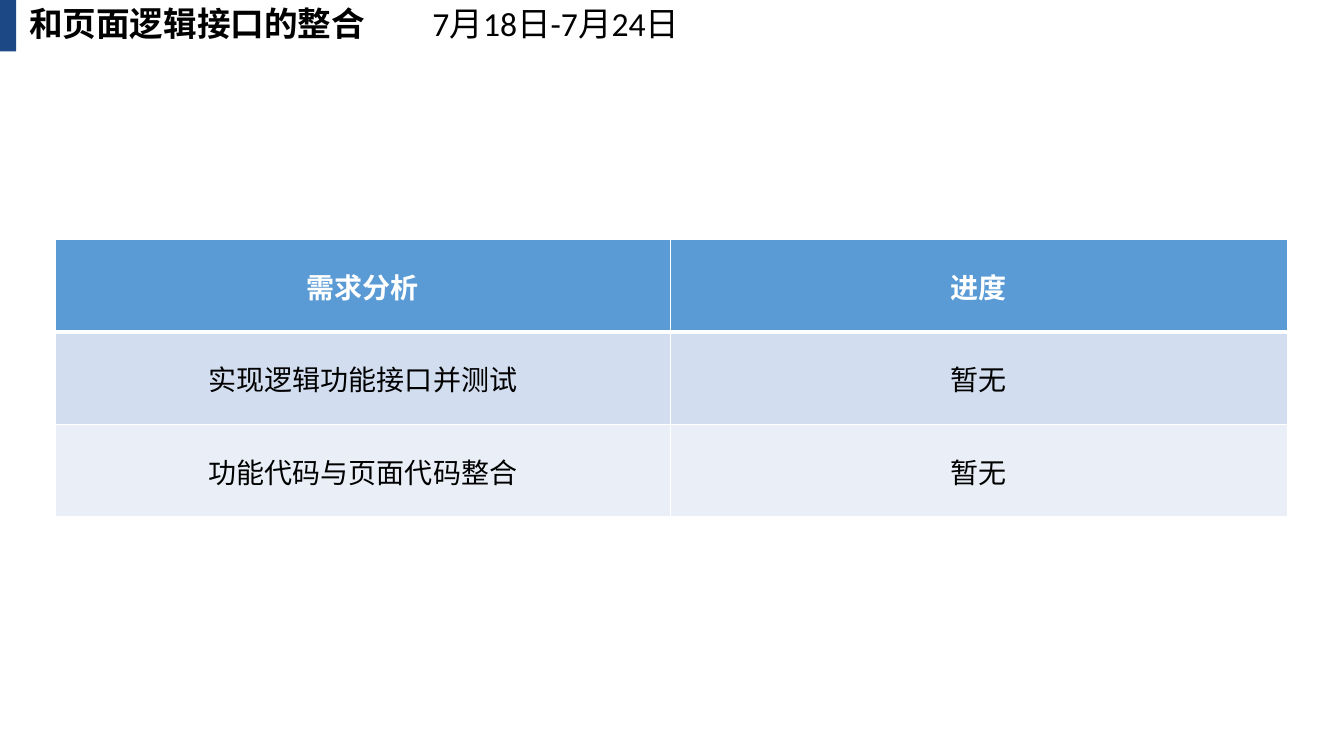
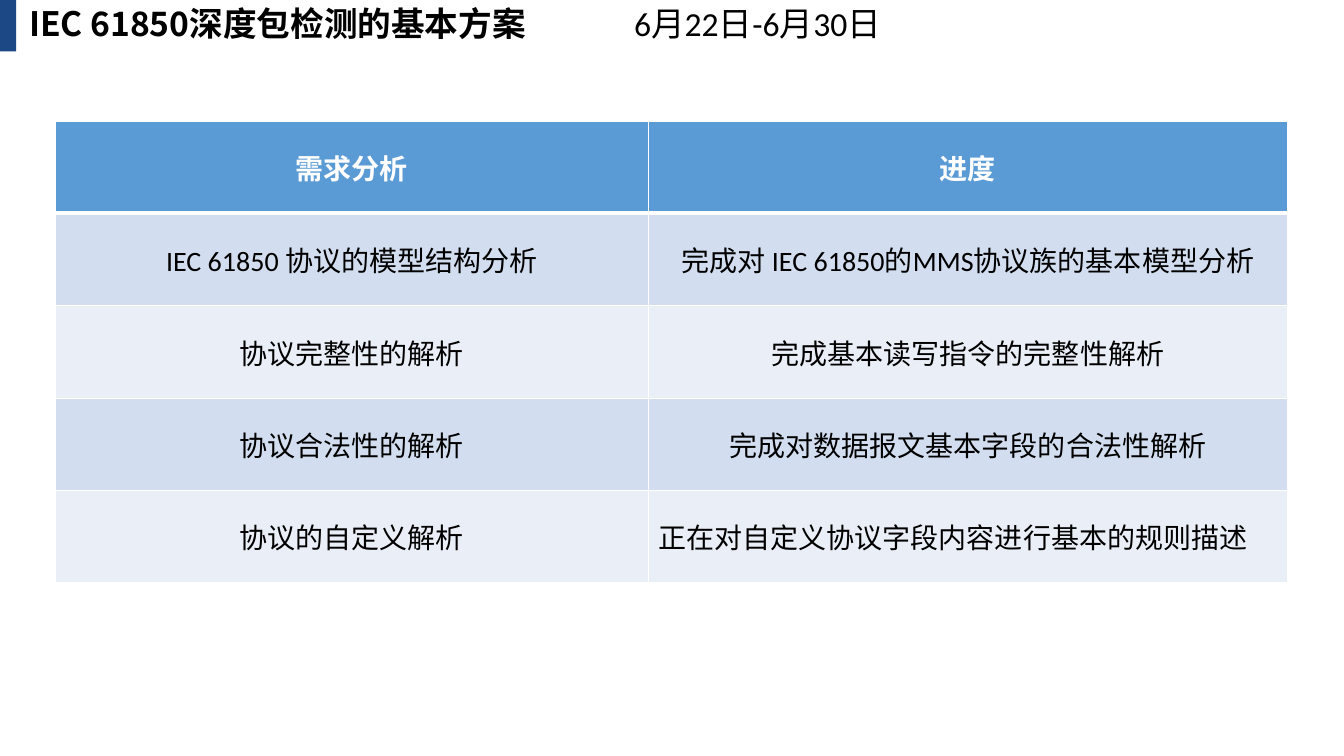
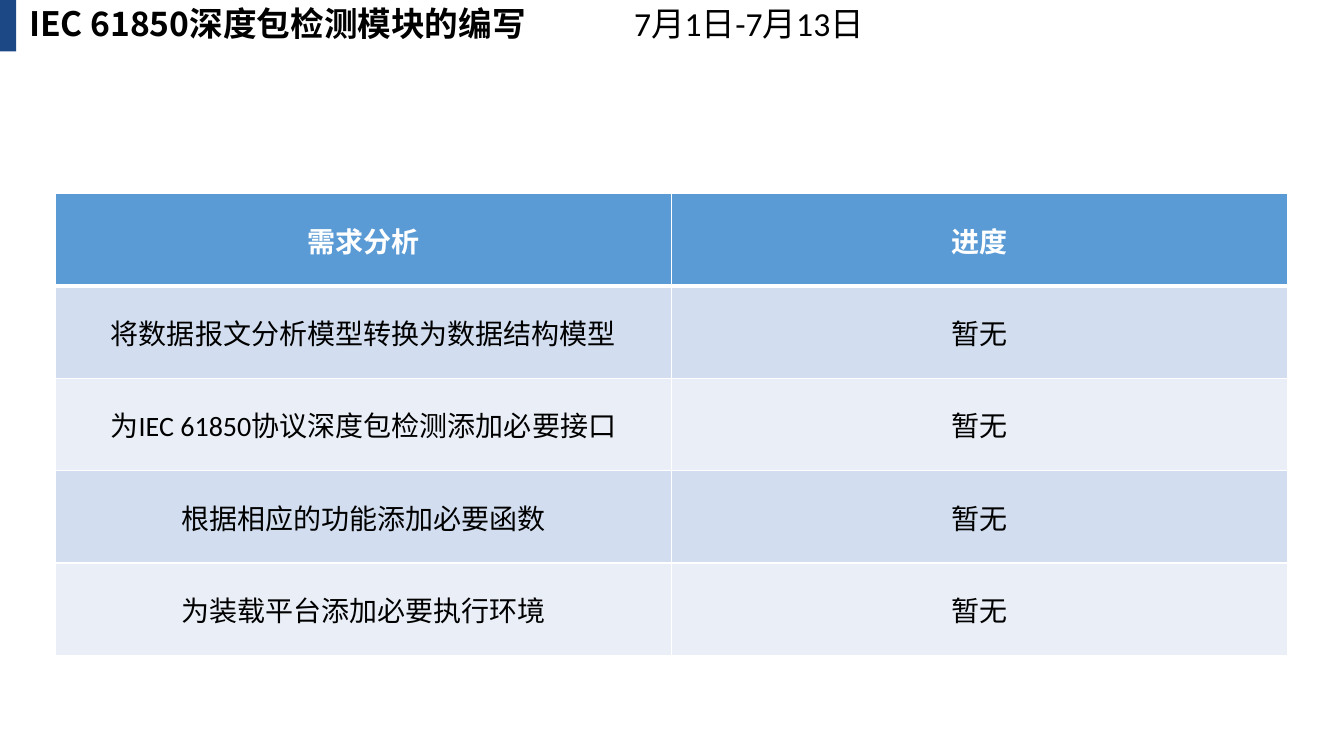
from dataclasses import dataclass

from lxml.etree import SubElement
from pptx import Presentation
from pptx.dml.color import RGBColor
from pptx.enum.shapes import MSO_SHAPE
from pptx.enum.text import MSO_ANCHOR, MSO_AUTO_SIZE, PP_ALIGN
from pptx.oxml.ns import qn
from pptx.util import Inches, Pt


@dataclass(frozen=True)
class Theme:
    latin: str = "Calibri"
    chinese: str = "Noto Sans CJK SC"
    title_size: int = 24
    table_size: int = 20
    dark: str = "000000"
    light: str = "FFFFFF"
    accent: str = "1C4885"
    header: str = "5B9BD5"
    bands: tuple = ("D2DEEF", "EAEFF7")
    rule: int = 1
    header_rule: int = 3


theme = Theme()
TABLE_LEFT, TABLE_WIDTH = Inches(0.55), Inches(12.22)
ROW_HEIGHT = Inches(2.75) // 3
HEADINGS = ("需求分析", "进度")
PENDING = "暂无"

PAGES = [
    {
        "title": "和页面逻辑接口的整合",
        "dates": "7月18日-7月24日",
        "date_tab": 4,
        "top": 2.38,
        "first_column": 6.1,
        "rows": [
            ("实现逻辑功能接口并测试", PENDING),
            ("功能代码与页面代码整合", PENDING),
        ],
    },
    {
        "title": "IEC 61850深度包检测的基本方案",
        "dates": "6月22日-6月30日",
        "date_tab": 6,
        "top": 1.2,
        "first_column": 5.88,
        "rows": [
            ("IEC 61850 协议的模型结构分析", "完成对 IEC 61850的MMS协议族的基本模型分析"),
            ("协议完整性的解析", "完成基本读写指令的完整性解析"),
            ("协议合法性的解析", "完成对数据报文基本字段的合法性解析"),
            ("协议的自定义解析", "正在对自定义协议字段内容进行基本的规则描述"),
        ],
        "justified": (4, 1),
    },
    {
        "title": "IEC 61850深度包检测模块的编写",
        "dates": "7月1日-7月13日",
        "date_tab": 6,
        "top": 1.92,
        "first_column": 6.11,
        "rows": [
            ("将数据报文分析模型转换为数据结构模型", PENDING),
            ("为IEC 61850协议深度包检测添加必要接口", PENDING),
            ("根据相应的功能添加必要函数", PENDING),
            ("为装载平台添加必要执行环境", PENDING),
        ],
    },
]


def add_span(para, text, color, **font_format):
    span = para.add_run()
    span.text = text
    for name, value in font_format.items():
        setattr(span.font, name, value)
    span.font.color.rgb = RGBColor.from_string(color)
    SubElement(span.font._element, qn("a:ea"), typeface=theme.chinese)


def add_border(cell, side, points):
    line = SubElement(cell._tc.get_or_add_tcPr(), qn(f"a:ln{side}"), w=str(Pt(points)))
    SubElement(SubElement(line, qn("a:solidFill")), qn("a:srgbClr"), val=theme.light)


deck = Presentation()
deck.slide_width, deck.slide_height = Inches(13.33), Inches(7.5)

for content in PAGES:
    page = deck.slides.add_slide(deck.slide_layouts[6])

    box = page.shapes.add_textbox(Inches(0.19), Inches(-0.02), Inches(9.87), Inches(0.5))
    box.text_frame.word_wrap = True
    box.text_frame.auto_size = MSO_AUTO_SIZE.SHAPE_TO_FIT_TEXT
    para = box.text_frame.paragraphs[0]
    tabs = SubElement(para._p.get_or_add_pPr(), qn("a:tabLst"))
    SubElement(tabs, qn("a:tab"), pos=str(Inches(content["date_tab"])), algn="l")
    size = Pt(theme.title_size)
    add_span(para, content["title"] + "\t", theme.dark, size=size, name=theme.chinese, bold=True)
    add_span(para, content["dates"], theme.dark, size=size, name=theme.latin, bold=False)

    marker = page.shapes.add_shape(MSO_SHAPE.RECTANGLE, 0, 0, Inches(0.16), Inches(0.51))
    marker.shadow.inherit = False
    marker.fill.solid()
    marker.fill.fore_color.rgb = RGBColor.from_string(theme.accent)
    marker.line.fill.background()

    rows = [HEADINGS, *content["rows"]]
    table = page.shapes.add_table(
        len(rows), len(HEADINGS), TABLE_LEFT, Inches(content["top"]),
        TABLE_WIDTH, ROW_HEIGHT * len(rows),
    ).table
    table.horz_banding = False
    first_width = Inches(content["first_column"])
    for column, width in zip(table.columns, (first_width, TABLE_WIDTH - first_width)):
        column.width = width

    for row_index, texts in enumerate(rows):
        is_header = row_index == 0
        fill = theme.header if is_header else theme.bands[(row_index - 1) % 2]
        borders = {
            "L": theme.rule,
            "R": theme.rule,
            "T": theme.header_rule if row_index == 1 else theme.rule,
            "B": theme.header_rule if is_header else theme.rule,
        }
        table.rows[row_index].height = ROW_HEIGHT
        for column_index, text in enumerate(texts):
            cell = table.cell(row_index, column_index)
            cell.vertical_anchor = MSO_ANCHOR.MIDDLE
            for side, points in borders.items():
                add_border(cell, side, points)
            cell.fill.solid()
            cell.fill.fore_color.rgb = RGBColor.from_string(fill)
            para = cell.text_frame.paragraphs[0]
            justified = content.get("justified") == (row_index, column_index)
            para.alignment = PP_ALIGN.JUSTIFY if justified else PP_ALIGN.CENTER
            add_span(
                para, text, theme.light if is_header else theme.dark,
                size=Pt(theme.table_size), name=theme.latin, bold=is_header,
            )

deck.save("out.pptx")
